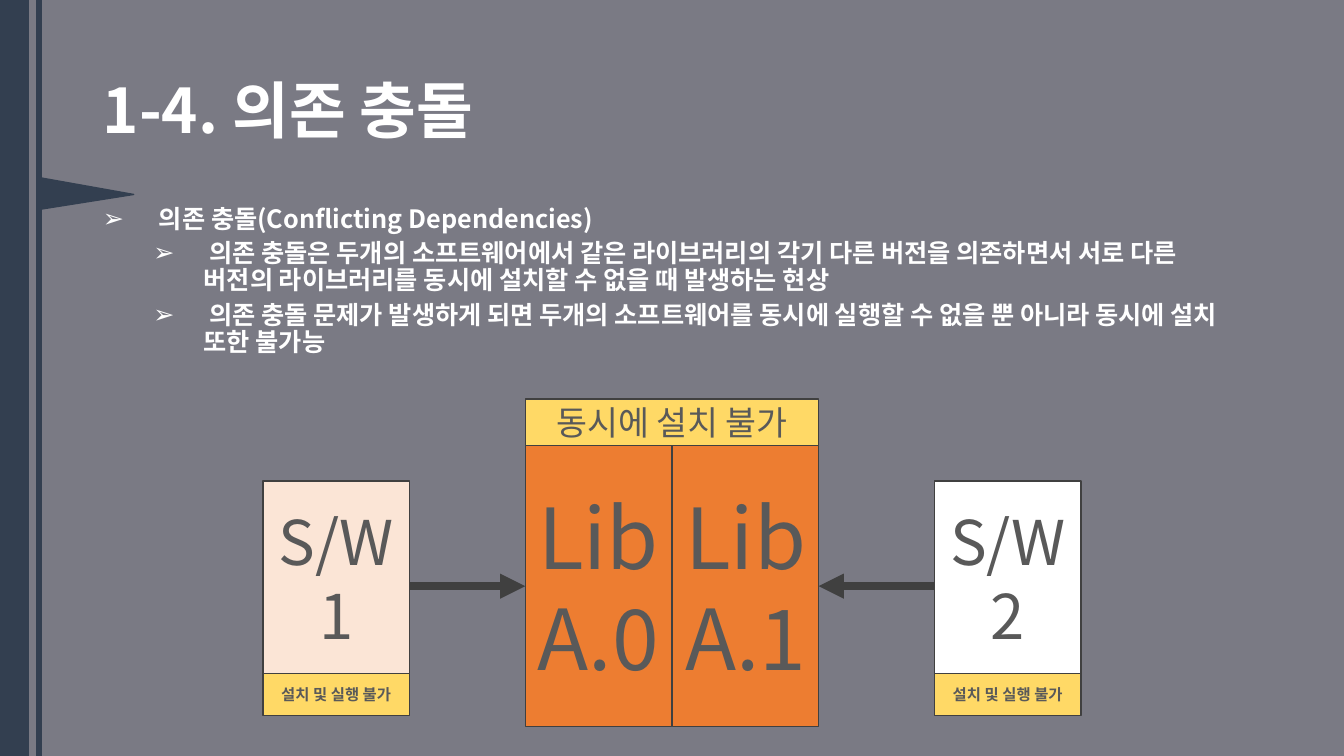
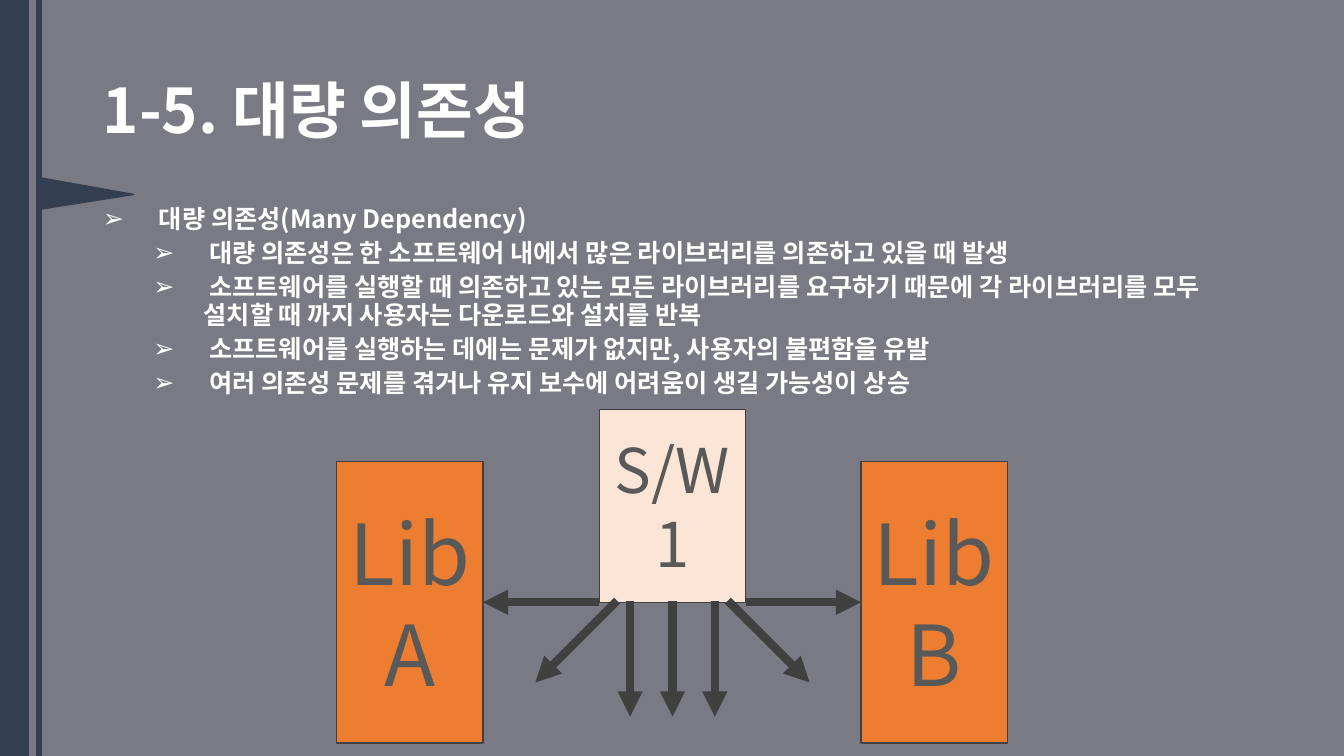
from dataclasses import dataclass

from lxml.etree import SubElement
from pptx import Presentation
from pptx.dml.color import RGBColor
from pptx.enum.shapes import MSO_CONNECTOR, MSO_SHAPE
from pptx.enum.text import MSO_ANCHOR, MSO_AUTO_SIZE, PP_ALIGN
from pptx.oxml.ns import qn
from pptx.util import Inches, Pt


@dataclass(frozen=True)
class Theme:
    font: str = "Noto Sans CJK KR"
    background: str = "7A7A84"
    band: str = "333F50"
    light_text: str = "FFFFFF"
    dark_text: str = "595959"
    outline: str = "404040"
    library: str = "ED7D31"
    software: str = "FBE5D6"
    other_software: str = "FFFFFF"
    warning: str = "FFD966"
    title_size: int = 44
    body_size: int = 18
    library_size: int = 60
    software_size: int = 44
    banner_size: int = 24
    label_size: int = 11


THEME = Theme()
BOX_WIDTH = 1.45
LIBRARY_HEIGHT = 2.79
SOFTWARE_HEIGHT = 1.92
CENTER = 6.67
LEFT_SIDE, RIGHT_SIDE = 1, 3


def rgb(value):
    return RGBColor.from_string(value)


class SlideBuilder:
    """Holds the theme, the deck and the slide being drawn."""

    def __init__(self, theme):
        self.theme = theme
        self.deck = Presentation()
        self.deck.slide_width = Inches(13.33)
        self.deck.slide_height = Inches(7.5)
        fill = self.deck.slide_master.background.fill
        fill.solid()
        fill.fore_color.rgb = rgb(theme.background)
        self.slide = None

    def start_slide(self, title, bullets):
        self.slide = self.deck.slides.add_slide(self.deck.slide_layouts[1])
        self.decorate()
        self.write_title(title)
        self.write_bullets(bullets)

    def decorate(self):
        band = self.theme.band
        self.shape(MSO_SHAPE.RECTANGLE, 0, 0, 0.28, 7.5, band, band)
        self.shape(MSO_SHAPE.RECTANGLE, 0.36, 0, 0.05, 7.5, band, band)
        pointer = self.shape(MSO_SHAPE.ISOSCELES_TRIANGLE, 0.71, 1.46, 0.31, 0.92, band, band)
        pointer.rotation = 90
        pointer.adjustments[0] = 0.53

    def place(self, placeholder, left, top, width, height):
        placeholder.left, placeholder.top = Inches(left), Inches(top)
        placeholder.width, placeholder.height = Inches(width), Inches(height)
        placeholder.text_frame.auto_size = MSO_AUTO_SIZE.NONE
        return placeholder.text_frame

    def write_title(self, text):
        frame = self.place(self.slide.shapes.title, 0.92, 0.4, 11.5, 1.45)
        frame.vertical_anchor = MSO_ANCHOR.MIDDLE
        frame.text = text
        para = frame.paragraphs[0]
        para.alignment = PP_ALIGN.LEFT
        para.line_spacing = 0.9
        self.style(para, self.theme.title_size, self.theme.light_text, bold=True)

    def write_bullets(self, bullets):
        """The first bullet is the heading; the others sit one level below it."""
        frame = self.place(self.slide.placeholders[1], 0.92, 2, 11.5, 5.5)
        for index, text in enumerate(bullets):
            para = frame.add_paragraph() if index else frame.paragraphs[0]
            para.text = text
            para.level = 1 if index else 0
            properties = para._p.get_or_add_pPr()
            properties.set("marL", str(Inches(0.5 * (para.level + 1))))
            properties.set("indent", str(Inches(-0.5)))
            SubElement(properties, qn("a:buChar")).set("char", "➢")
            para.line_spacing = 0.9
            para.space_before = Pt(5 if index else 0)
            self.style(para, self.theme.body_size, self.theme.light_text, bold=True)

    def style(self, para, size, color, bold=False):
        for span in para.runs:
            span.font.size = Pt(size)
            span.font.name = self.theme.font
            span.font.bold = bold
            span.font.color.rgb = rgb(color)
            east_asian = SubElement(span._r.get_or_add_rPr(), qn("a:ea"))
            east_asian.set("typeface", self.theme.font)

    def shape(self, kind, left, top, width, height, fill, line):
        shape = self.slide.shapes.add_shape(
            kind, Inches(left), Inches(top), Inches(width), Inches(height))
        shape.shadow.inherit = False
        shape.fill.solid()
        shape.fill.fore_color.rgb = rgb(fill)
        shape.line.color.rgb = rgb(line)
        shape.line.width = Pt(1)
        return shape

    def box(self, text, left, top, width, height, fill, size, bold=False):
        box = self.shape(MSO_SHAPE.RECTANGLE, left, top, width, height,
                         fill, self.theme.outline)
        frame = box.text_frame
        frame.word_wrap = True
        frame.vertical_anchor = MSO_ANCHOR.MIDDLE
        frame.text = text
        for para in frame.paragraphs:
            para.alignment = PP_ALIGN.CENTER
            self.style(para, size, self.theme.dark_text, bold)
        return box

    def library(self, name, left, top):
        return self.box(name, left, top, BOX_WIDTH, LIBRARY_HEIGHT,
                        self.theme.library, self.theme.library_size)

    def software(self, number, left, top, fill):
        return self.box(f"S/W\n{number}", left, top, BOX_WIDTH, SOFTWARE_HEIGHT,
                        fill, self.theme.software_size)

    def arrow(self, start, end, target=None, side=None):
        """Draw an arrow, joined to a side of the target box if one is given."""
        points = [Inches(length) for length in (*start, *end)]
        arrow = self.slide.shapes.add_connector(MSO_CONNECTOR.STRAIGHT, *points)
        if target is not None:
            arrow.end_connect(target, side)
        arrow.line.color.rgb = rgb(self.theme.outline)
        arrow.line.width = Pt(6)
        SubElement(arrow.line._get_or_add_ln(), qn("a:tailEnd")).set("type", "triangle")
        SubElement(arrow._element.spPr, qn("a:effectLst"))


def draw_conflict(builder):
    theme = builder.theme
    builder.start_slide("1-4. 의존 충돌", [
        " 의존 충돌(Conflicting Dependencies)",
        " 의존 충돌은 두개의 소프트웨어에서 같은 라이브러리의 각기 다른 버전을 의존하면서 "
        "서로 다른 버전의 라이브러리를 동시에 설치할 수 없을 때 발생하는 현상",
        " 의존 충돌 문제가 발생하게 되면 두개의 소프트웨어를 동시에 실행할 수 없을 뿐 아니라 "
        "동시에 설치 또한 불가능",
    ])
    library_top, software_top = 4.42, 4.77
    library_left, library_right = 5.21, 8.12
    first_left, second_left = 2.61, 9.27
    old_library = builder.library("Lib A.0", library_left, library_top)
    new_library = builder.library("Lib A.1", library_right - BOX_WIDTH, library_top)
    builder.software(1, first_left, software_top, theme.software)
    builder.software(2, second_left, software_top, theme.other_software)

    middle = library_top + LIBRARY_HEIGHT / 2
    builder.arrow((first_left + BOX_WIDTH, middle), (library_left, middle),
                  old_library, LEFT_SIDE)
    builder.arrow((second_left, middle), (library_right, middle), new_library, RIGHT_SIDE)

    builder.box("동시에 설치 불가", library_left, 3.96, library_right - library_left, 0.46,
                theme.warning, theme.banner_size)
    for left in (first_left, second_left):
        builder.box("설치 및 실행 불가", left, 6.68, BOX_WIDTH, 0.42,
                    theme.warning, theme.label_size, bold=True)


def draw_many_dependencies(builder):
    builder.start_slide("1-5. 대량 의존성", [
        " 대량 의존성(Many Dependency)",
        " 대량 의존성은 한 소프트웨어 내에서 많은 라이브러리를 의존하고 있을 때 발생",
        " 소프트웨어를 실행할 때 의존하고 있는 모든 라이브러리를 요구하기 때문에 "
        "각 라이브러리를 모두 설치할 때 까지 사용자는 다운로드와 설치를 반복",
        " 소프트웨어를 실행하는 데에는 문제가 없지만, 사용자의 불편함을 유발",
        " 여러 의존성 문제를 겪거나 유지 보수에 어려움이 생길 가능성이 상승",
    ])
    library_top = 4.58
    left_library = builder.library("Lib A", 3.34, library_top)
    right_library = builder.library("Lib B", 8.54, library_top)
    builder.software(1, CENTER - BOX_WIDTH / 2, 4.06, builder.theme.software)

    middle = library_top + LIBRARY_HEIGHT / 2
    for direction, library, side in ((-1, left_library, RIGHT_SIDE),
                                     (1, right_library, LEFT_SIDE)):
        builder.arrow((CENTER + direction * BOX_WIDTH / 2, middle),
                      (CENTER + direction * 1.87, middle), library, side)
        builder.arrow((CENTER + direction * 0.55, 5.96), (CENTER + direction * 1.36, 6.77))
    for offset in (-0.42, 0, 0.42):
        builder.arrow((CENTER + offset, 5.96), (CENTER + offset, 7.11))


def main():
    builder = SlideBuilder(THEME)
    draw_conflict(builder)
    draw_many_dependencies(builder)
    builder.deck.save("out.pptx")


if __name__ == "__main__":
    main()
